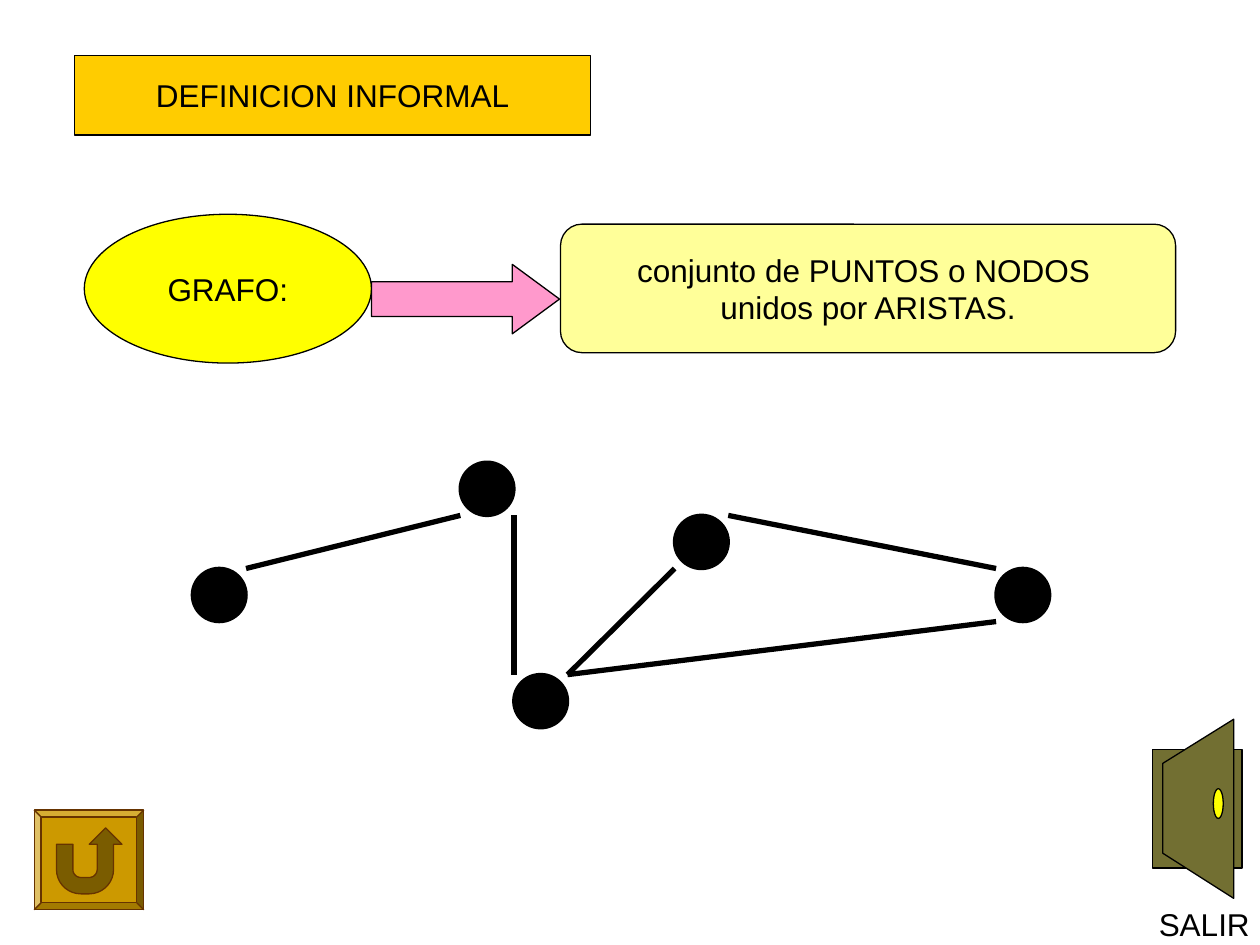
from math import cos, radians, sin

from lxml import etree
from pptx import Presentation
from pptx.dml.color import RGBColor
from pptx.enum.shapes import MSO_CONNECTOR, MSO_SHAPE
from pptx.enum.text import MSO_ANCHOR, MSO_AUTO_SIZE, PP_ALIGN
from pptx.oxml.ns import qn
from pptx.util import Cm, Pt

ELLIPSE = MSO_SHAPE.OVAL
ROUNDED = MSO_SHAPE.ROUNDED_RECTANGLE
CENTER, LEFT = PP_ALIGN.CENTER, PP_ALIGN.LEFT
MIDDLE, TOP = MSO_ANCHOR.MIDDLE, MSO_ANCHOR.TOP

COLORS = {
    "black": "000000", "orange": "FFCC00", "yellow": "FFFF00",
    "cream": "FFFF99", "pink": "FF99CC", "olive": "726F32",
    "gold": "CC9900", "brown": "663300", "dark gold": "7A5C00",
}

# All lengths are in cm; boxes are left, top, width, height.
TITLE = "DEFINICION INFORMAL"
TITLE_BOX = (1.5, 1.12, 10.41, 1.6)
DEFINITION = [
    (ELLIPSE, (1.7, 4.32, 5.79, 3), "yellow", ["GRAFO:"]),
    (ROUNDED, (11.3, 4.52, 12.4, 2.59), "cream",
     ["conjunto de PUNTOS o NODOS ", "unidos por ARISTAS."]),
]
ARROW_BOX = (7.49, 5.33, 3.79, 1.4)

# The graph lies on a grid whose cells are as large as a node.
GRID_LEFT, GRID_TOP = 3.88, 9.32
CELL_WIDTH, CELL_HEIGHT = 1.08, 1.07
NODES = [(5, 0), (15, 2), (6, 4), (0, 2), (9, 1)]
EDGES = [((1, 2), (5, 1)), ((10, 1), (15, 2)), ((6, 4), (6, 1)),
         ((7, 4), (15, 3)), ((9, 2), (7, 4))]

DOOR_FRAME = (23.24, 15.11, 1.8, 2.39)
DOOR_LEAF = [(24.87, 14.5), (24.87, 18.11), (23.44, 17.2), (23.44, 15.39)]
DOOR_KNOB = (24.46, 15.9, 0.2, 0.6)
EXIT_LABEL, EXIT_BOX = "SALIR", (23.11, 18.11, 2.34, 1.02)
RETURN_BUTTON = (0.69, 16.33, 2.21, 2.01)


def color(name):
    return RGBColor.from_string(COLORS[name])


def paint(shape, fill, line="black", width=0.75):
    shape.fill.solid()
    shape.fill.fore_color.rgb = color(fill)
    shape.line.color.rgb = color(line)
    shape.line.width = Pt(width)


def add_preset(slide, kind, box, fill, line="black", width=0.75):
    shape = slide.shapes.add_shape(kind, *map(Cm, box))
    shape.shadow.inherit = False
    paint(shape, fill, line, width)
    return shape


def add_outline(slide, points, fill, line="black"):
    start, *rest = [(Cm(x), Cm(y)) for x, y in points]
    builder = slide.shapes.build_freeform(*start)
    builder.add_line_segments(rest, close=True)
    shape = builder.convert_to_shape()
    shape.shadow.inherit = False
    paint(shape, fill, line)


def write(shape, lines, align=CENTER, anchor=MIDDLE):
    frame = shape.text_frame
    frame.text = "\n".join(lines)
    frame.word_wrap = False
    frame.auto_size = MSO_AUTO_SIZE.NONE
    frame.vertical_anchor = anchor
    for paragraph in frame.paragraphs:
        paragraph.alignment = align
        paragraph.font.name = "Arial"
        paragraph.font.size = Pt(18)
        paragraph.font.color.rgb = color("black")


def add_title(slide):
    title = slide.shapes.title
    title.left, title.top, title.width, title.height = map(Cm, TITLE_BOX)
    geometry = etree.SubElement(title._element.spPr, qn("a:prstGeom"), prst="roundRect")
    etree.SubElement(geometry, qn("a:avLst"))
    paint(title, "orange")
    write(title, [TITLE])


def add_graph(slide):
    def corner(column, row):
        return GRID_LEFT + column * CELL_WIDTH, GRID_TOP + row * CELL_HEIGHT

    for node in NODES:
        add_preset(slide, ELLIPSE, (*corner(*node), CELL_WIDTH, CELL_HEIGHT),
                   "black", width=2)
    for begin, end in EDGES:
        edge = slide.shapes.add_connector(
            MSO_CONNECTOR.STRAIGHT, *map(Cm, corner(*begin) + corner(*end)))
        edge.line.color.rgb = color("black")
        edge.line.width = Pt(3)
        etree.SubElement(edge._element.spPr, qn("a:effectLst"))


def add_exit(slide):
    add_preset(slide, MSO_SHAPE.RECTANGLE, DOOR_FRAME, "olive")
    add_outline(slide, DOOR_LEAF, "olive")
    add_preset(slide, ELLIPSE, DOOR_KNOB, "yellow")
    label = slide.shapes.add_textbox(*map(Cm, EXIT_BOX))
    write(label, [EXIT_LABEL], LEFT, TOP)


def add_return_button(slide):
    button = add_preset(slide, MSO_SHAPE.BEVEL, RETURN_BUTTON, "gold", "brown")
    button.adjustments[0] = 0.07

    def arc(center_x, radius, first, last):
        """Points of a quarter circle at the foot of the U, angles in degrees."""
        step = 10 if last > first else -10
        return [(center_x + radius * cos(radians(angle)),
                 17.53 + radius * sin(radians(angle)))
                for angle in range(first, last + step, step)]

    left_x, right_x, inner, outer = 1.63, 1.8, 0.16, 0.49
    add_outline(slide, [
        (1.14, 17.02), (1.47, 17.02),
        *arc(left_x, inner, 180, 90), *arc(right_x, inner, 90, 0),
        (1.96, 17.02), (1.8, 17.02), (2.13, 16.69), (2.46, 17.02), (2.29, 17.02),
        *arc(right_x, outer, 0, 90), *arc(left_x, outer, 90, 180),
    ], "dark gold", "brown")


def main():
    deck = Presentation()
    deck.slide_width, deck.slide_height = Cm(25.4), Cm(19.05)
    slide = deck.slides.add_slide(deck.slide_layouts[5])
    add_title(slide)
    add_graph(slide)
    for kind, box, fill, lines in DEFINITION:
        write(add_preset(slide, kind, box, fill), lines)
    arrow = add_preset(slide, MSO_SHAPE.RIGHT_ARROW, ARROW_BOX, "pink")
    arrow.adjustments[1] = 0.68
    add_exit(slide)
    add_return_button(slide)
    deck.save("out.pptx")


if __name__ == "__main__":
    main()
